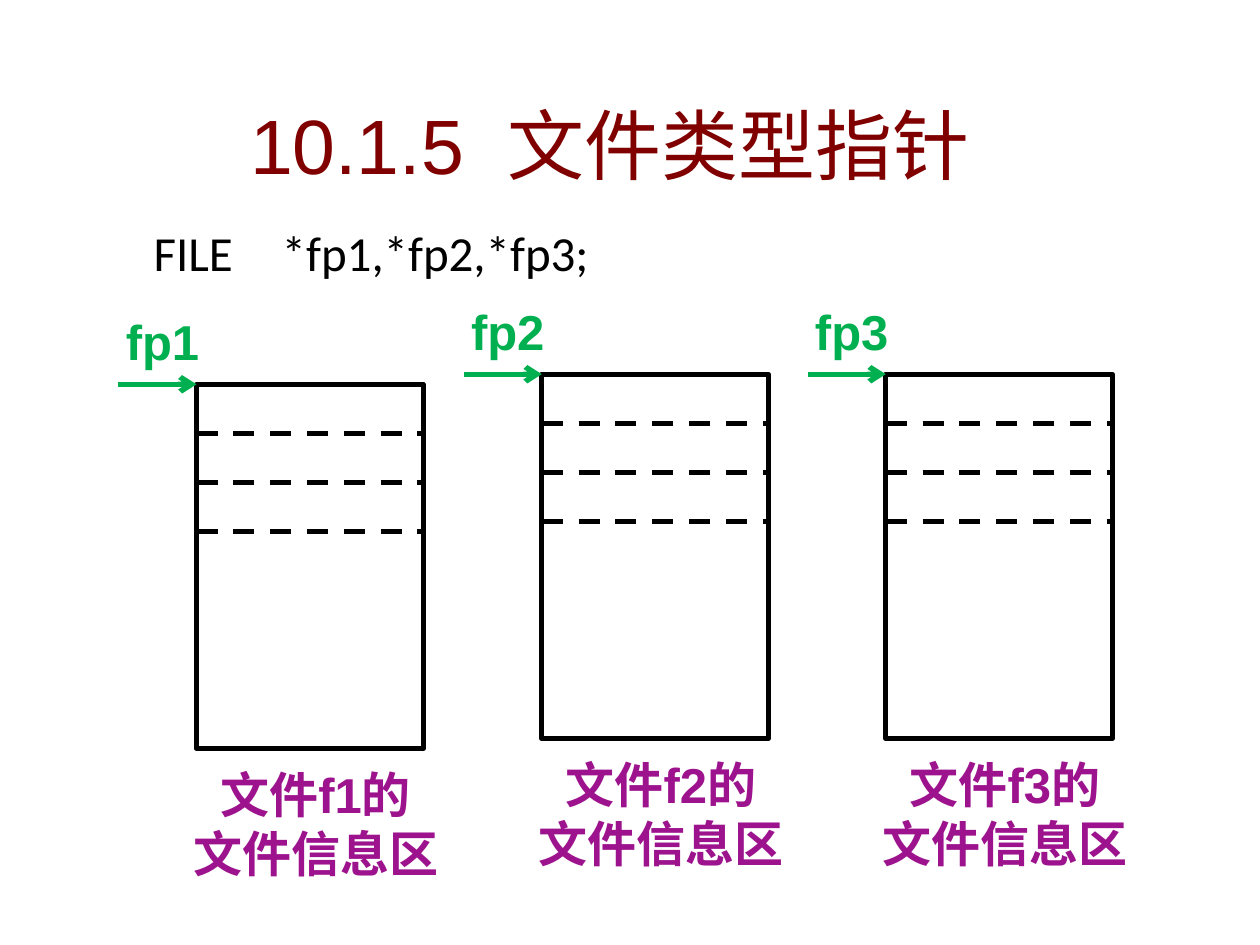
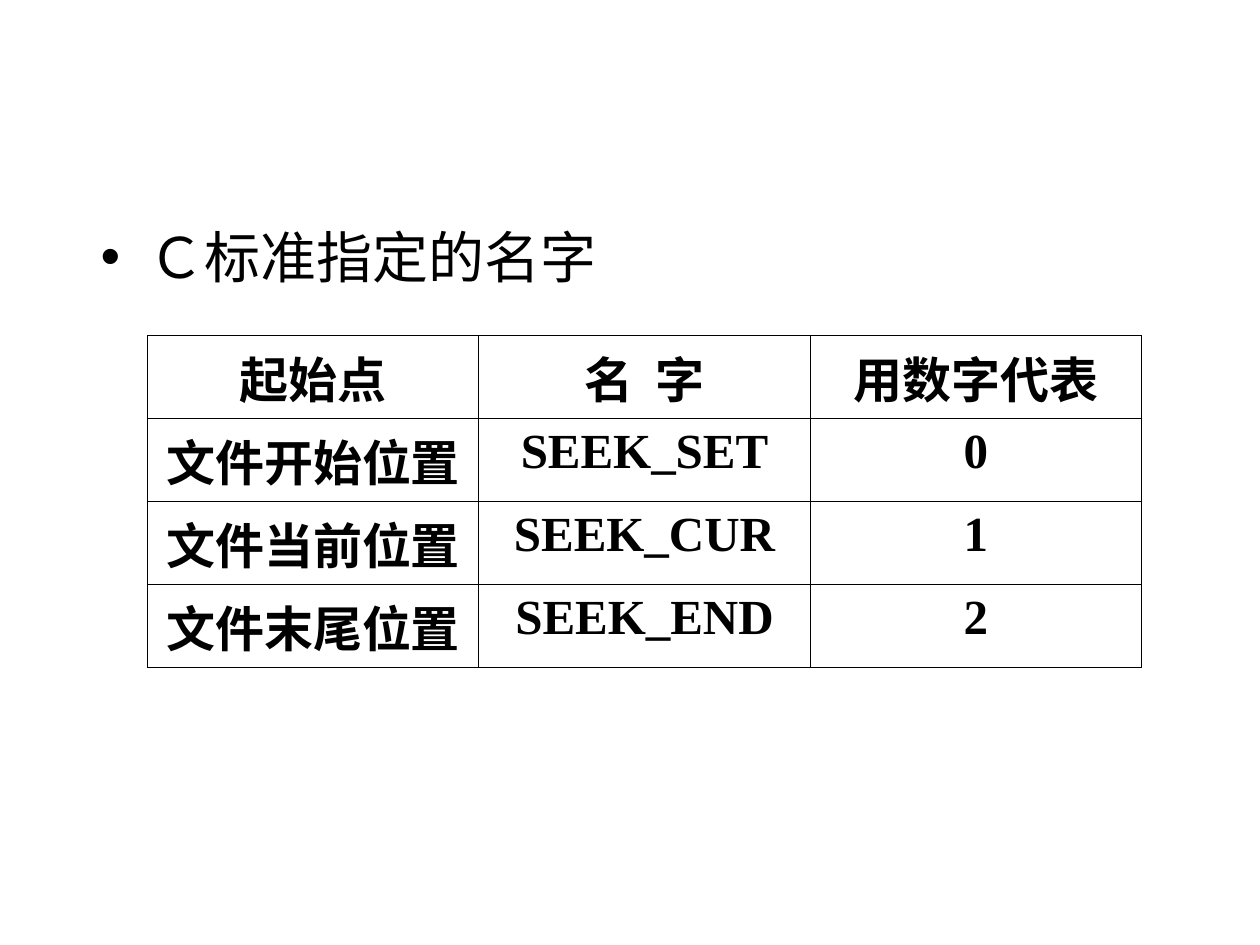
"""Build two slides on C file pointers and file position names."""
from lxml import etree
from pptx import Presentation, util as u
from pptx.dml.color import RGBColor
from pptx.enum import dml, shapes, text
from pptx.oxml.ns import qn

PX = 9144
BLACK, MAROON, GREEN, PURPLE = "000000", "800000", "00B050", "9D138D"


def px(length):
    return u.Emu(length * PX)


def color(hex_code):
    return RGBColor.from_string(hex_code)


class Deck:
    def __init__(self):
        self.prs = Presentation()
        self.prs.slide_width, self.prs.slide_height = px(1000), px(750)
        self.slide = None

    def add_slide(self, title=None):
        layout = self.prs.slide_layouts[5 if title else 6]
        self.slide = self.prs.slides.add_slide(layout)
        if title:
            heading = self.slide.shapes.title
            heading.left, heading.top = px(31), px(72)
            heading.width, heading.height = px(906), px(84)
            heading.text_frame.vertical_anchor = text.MSO_ANCHOR.MIDDLE
            self.set_words(heading.text_frame, title, 44, MAROON, centered=True)

    def set_words(self, frame, words, size, ink, font="Arial", bold=False, centered=False):
        frame.text = words
        for paragraph in frame.paragraphs:
            if centered:
                paragraph.alignment = text.PP_ALIGN.CENTER
            for run in paragraph.runs:
                run.font.size = u.Pt(size)
                run.font.name = font
                run.font.bold = bold
                run.font.color.rgb = color(ink)

    def label(self, words, left, top, width, height, ink):
        frame = self.slide.shapes.add_textbox(px(left), px(top), px(width), px(height)).text_frame
        frame.word_wrap = True
        frame.auto_size = text.MSO_AUTO_SIZE.SHAPE_TO_FIT_TEXT
        self.set_words(frame, words, 28, ink, bold=True, centered=True)

    def body(self, words, left, top, width, height, size, space, margin, indent, bullet=None):
        frame = self.slide.shapes.add_textbox(px(left), px(top), px(width), px(height)).text_frame
        frame.word_wrap = True
        self.set_words(frame, words, size, BLACK, "Calibri")
        paragraph = frame.paragraphs[0]
        paragraph.space_before = u.Pt(space)
        props = paragraph._p.get_or_add_pPr()
        props.set("marL", str(px(margin)))
        props.set("indent", str(px(indent)))
        if bullet:
            etree.SubElement(props, qn("a:buFont"), typeface="Arial")
            etree.SubElement(props, qn("a:buChar"), char=bullet)

    def line(self, parent, left, right, y, ink, dashed=False, arrow=False):
        rule = parent.add_connector(
            shapes.MSO_CONNECTOR.STRAIGHT, px(left), px(y), px(right), px(y))
        rule.line.width = u.Pt(3)
        rule.line.color.rgb = color(ink)
        if dashed:
            rule.line.dash_style = dml.MSO_LINE.DASH
        if arrow:
            etree.SubElement(rule.line._get_or_add_ln(), qn("a:tailEnd"), type="arrow")
        etree.SubElement(rule._element.spPr, qn("a:effectLst"))

    def info_area(self, left, top, width=180, height=289, row=39):
        parts = self.slide.shapes.add_group_shape().shapes
        frame = parts.add_shape(
            shapes.MSO_SHAPE.RECTANGLE, px(left), px(top), px(width), px(height))
        frame.shadow.inherit = False
        frame.fill.background()
        frame.line.color.rgb = color(BLACK)
        frame.line.width = u.Pt(3)
        for step in (1, 2, 3):
            self.line(parts, left, left + width, top + step * row, BLACK, dashed=True)

    def table(self, rows, left, top, column_width, row_height):
        columns = len(rows[0])
        grid = self.slide.shapes.add_table(
            len(rows), columns, px(left), px(top),
            px(columns * column_width), px(len(rows) * row_height)).table
        grid.first_row = grid.horz_banding = False
        for column in grid.columns:
            column.width = px(column_width)
        for row, values in zip(grid.rows, rows):
            row.height = px(row_height)
            for cell, value in zip(row.cells, values):
                cell.margin_left = cell.margin_right = px(8)
                cell.fill.background()
                self.set_words(cell.text_frame, value, 28, BLACK, "Times New Roman", True, True)
                self.borders(cell)

    def borders(self, cell):
        props = cell._tc.get_or_add_tcPr()
        for position, side in enumerate(("lnL", "lnR", "lnT", "lnB")):
            edge = etree.Element(qn("a:" + side), w=str(u.Pt(0.45)))
            fill = etree.SubElement(edge, qn("a:solidFill"))
            etree.SubElement(fill, qn("a:srgbClr"), val=BLACK)
            props.insert(position, edge)


def main():
    deck = Deck()
    deck.add_slide("10.1.5  文件类型指针")
    deck.body("FILE　*fp1,*fp2,*fp3;", 62, 172, 891, 94, 28, 7, 81, -31)
    for number, (left, top) in enumerate([(156, 305), (430, 297), (703, 297)], 1):
        deck.label(f"文件f{number}的\n文件信息区", left - 15, top + 297, 219, 104, PURPLE)
        deck.info_area(left, top)
        deck.label(f"fp{number}", left - 70, top - 63, 86, 57, GREEN)
        deck.line(deck.slide.shapes, left - 62, left, top, GREEN, arrow=True)

    deck.add_slide()
    deck.body("Ｃ标准指定的名字", 70, 172, 891, 86, 32, 8, 38, -38, "•")
    deck.table([
        ("起始点", "名  字", "用数字代表"),
        ("文件开始位置", "SEEK_SET", "0"),
        ("文件当前位置", "SEEK_CUR", "1"),
        ("文件末尾位置", "SEEK_END", "2"),
    ], 117, 266, 263, 66)
    deck.prs.save("out.pptx")


if __name__ == "__main__":
    main()
